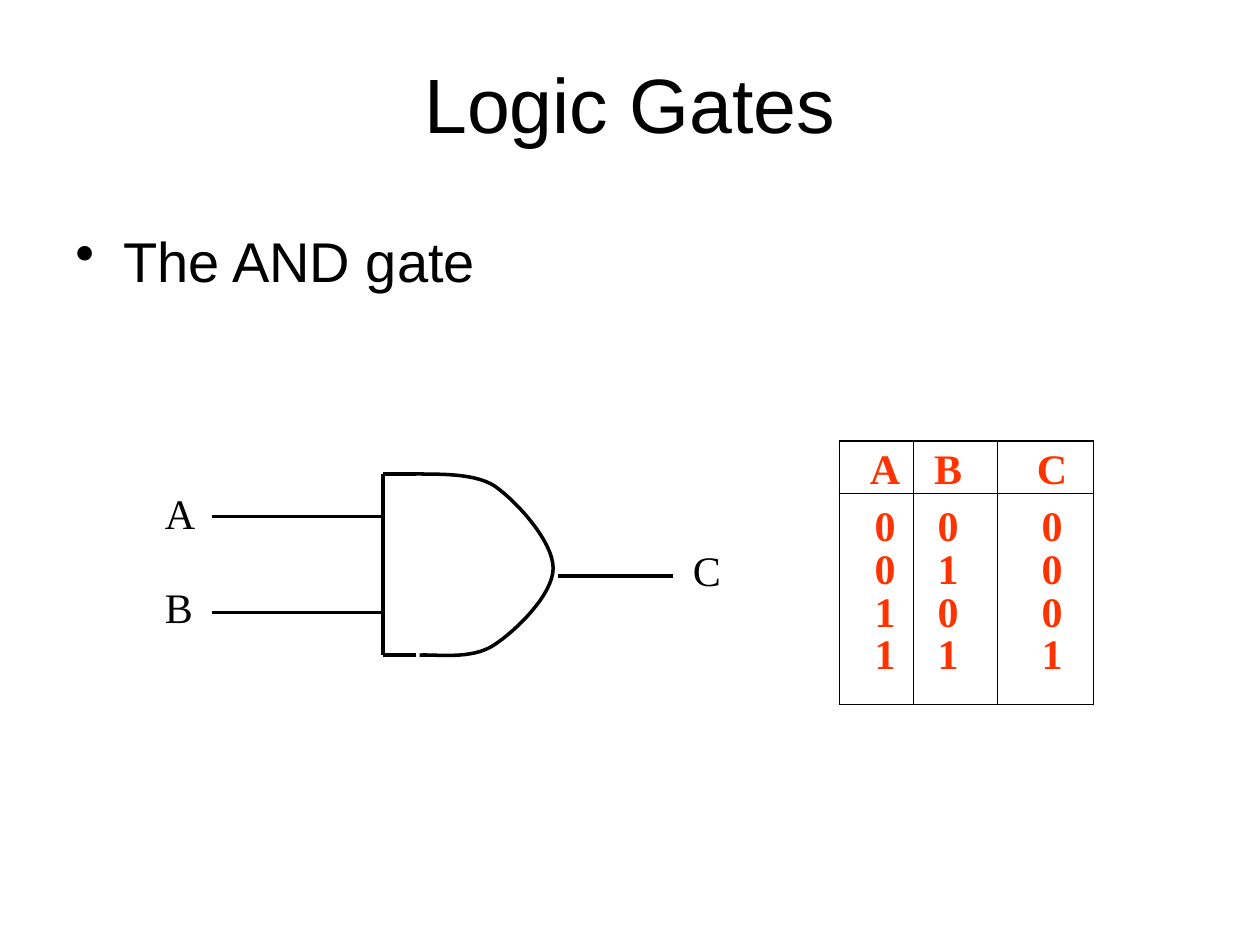
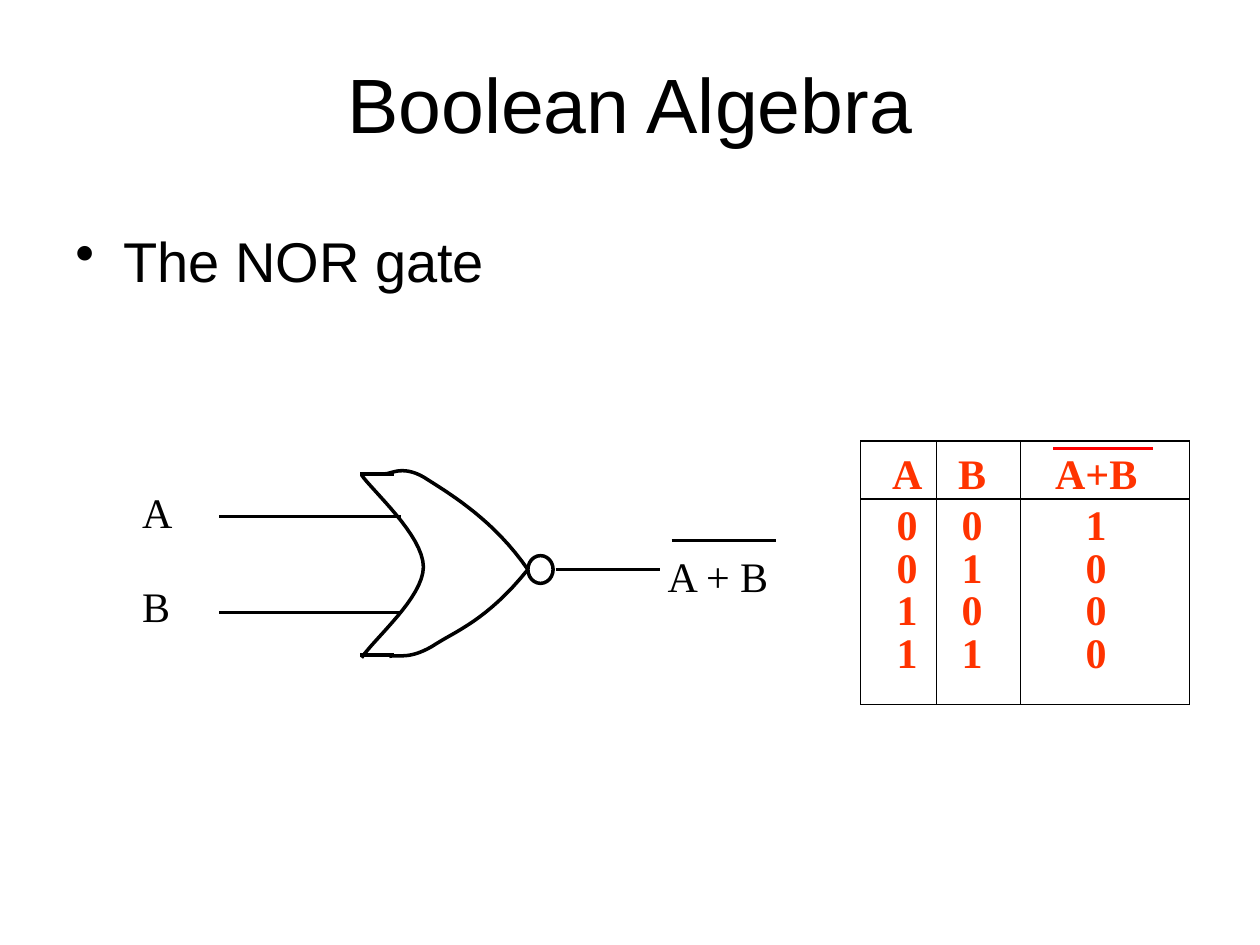
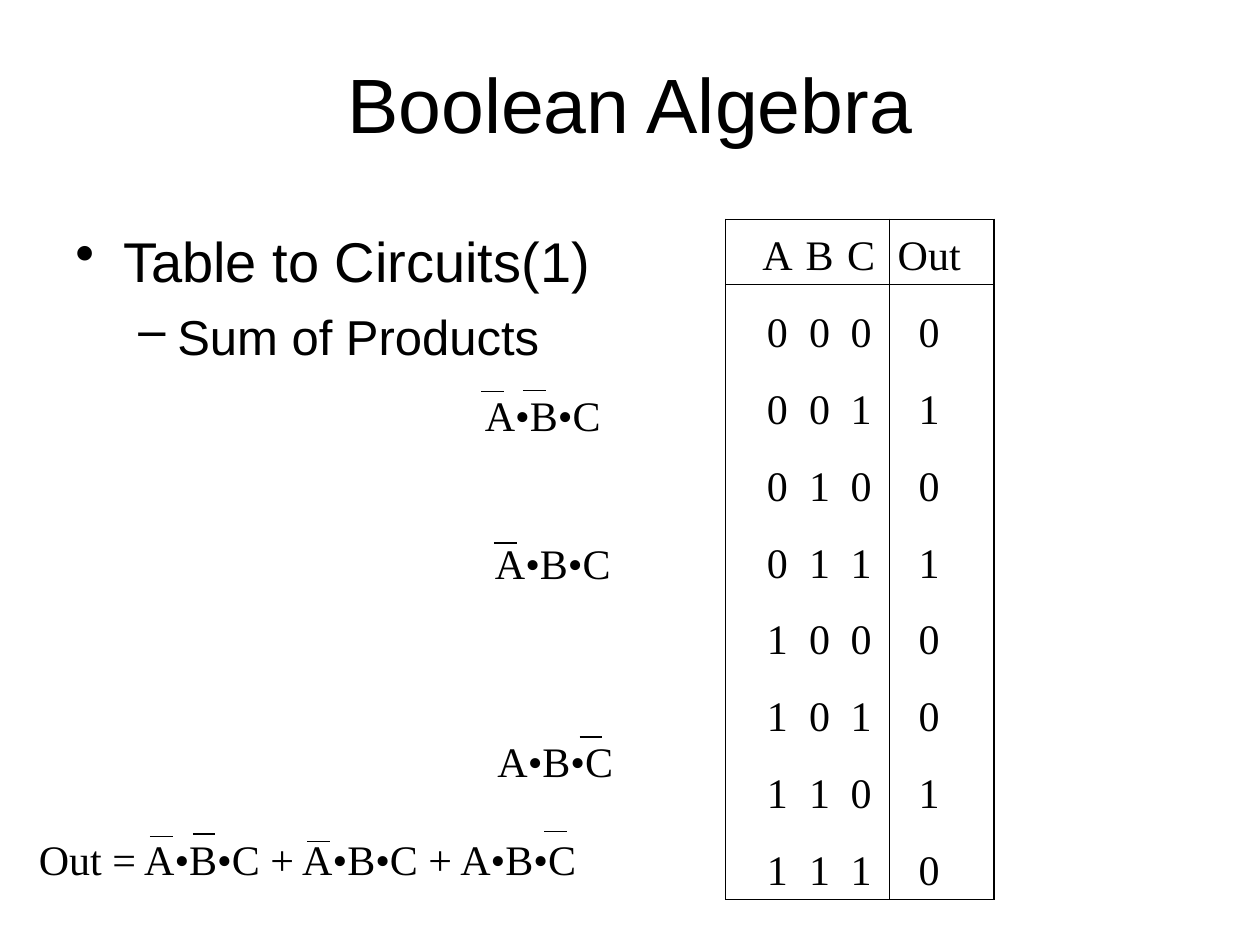
from lxml.etree import SubElement
from pptx import Presentation
from pptx.dml.color import RGBColor
from pptx.enum.shapes import MSO_CONNECTOR as Conn, MSO_SHAPE as Kind
from pptx.enum.text import MSO_ANCHOR as Anchor, PP_ALIGN as Align
from pptx.oxml.ns import qn
from pptx.util import Inches, Pt

BLACK, RED, ORANGE = "000000", "FF0000", "FF3300"
SANS, SERIF = "Arial", "Times New Roman"
THIN, THICK = 0.75, 2
COLS, ROWS = 100, 75  # grid of the slide


def tint(code):
    return RGBColor.from_string(code)


class Deck:
    def __init__(self):
        self.file = Presentation()
        self.file.slide_width, self.file.slide_height = Inches(10), Inches(7.5)
        self.col = self.file.slide_width / COLS
        self.row = self.file.slide_height / ROWS

    def x(self, n):
        return round(n * self.col)

    def y(self, n):
        return round(n * self.row)

    def box(self, x, y, w, h):
        return self.x(x), self.y(y), self.x(w), self.y(h)

    def page(self, title, *points):
        """Start a slide with its title and bulleted points."""
        self.slide = self.file.slides.add_slide(self.file.slide_layouts[6])
        head = self.text(title, 5, 3, 90, 10.3, SANS, 44)
        head.vertical_anchor = Anchor.MIDDLE
        head.paragraphs[0].alignment = Align.CENTER
        body = self.frame(5, 17.5, 90, 49.5)
        levels = [("•", 0.38, -0.38, 32), ("–", 0.81, -0.31, 28)]
        for i, (point, (mark, left, hang, size)) in enumerate(zip(points, levels)):
            par = body.add_paragraph() if i else body.paragraphs[0]
            par.text, par.level = point, i
            prop = par._p.get_or_add_pPr()
            prop.set("marL", str(Inches(left)))
            prop.set("indent", str(Inches(hang)))
            SubElement(prop, qn("a:buChar")).set("char", mark)
            if i:
                par.space_before = Pt(7)
            self.font(par, SANS, size)

    def font(self, par, name, size, ink=BLACK, bold=False):
        font = par.font
        font.name, font.size, font.bold = name, Pt(size), bold
        font.color.rgb = tint(ink)

    def frame(self, x, y, w, h):
        frame = self.slide.shapes.add_textbox(*self.box(x, y, w, h)).text_frame
        frame.word_wrap = True
        return frame

    def text(self, words, x, y, w, h=5, name=SERIF, size=24):
        frame = self.frame(x, y, w, h)
        frame.paragraphs[0].text = words
        self.font(frame.paragraphs[0], name, size)
        return frame

    def pen(self, shape, ink, width):
        shape.line.color.rgb = tint(ink)
        shape.line.width = Pt(width)

    def wire(self, x, y, x2, y2, ink=BLACK, width=THICK):
        line = self.slide.shapes.add_connector(
            Conn.STRAIGHT, self.x(x), self.y(y), self.x(x2), self.y(y2))
        self.pen(line, ink, width)
        SubElement(line._element.spPr, qn("a:effectLst"))

    def bar(self, x, y):
        """Short stroke that negates the letter below it."""
        self.wire(x, y, x + 1.8, y, width=THIN)

    def plain(self, shape):
        shape.shadow.inherit = False
        shape.fill.background()
        self.pen(shape, BLACK, THICK)

    def ring(self, x, y, w, h):
        self.plain(self.slide.shapes.add_shape(Kind.OVAL, *self.box(x, y, w, h)))

    def curve(self, start, *arcs, steps=16):
        """Open outline through cubic arcs, each two handles and an end."""
        dots, last = [], start
        for arc in arcs:
            ends = (last, *arc)
            for i in range(1, steps + 1):
                t = i / steps
                u = 1 - t
                mix = (u ** 3, 3 * u * u * t, 3 * u * t * t, t ** 3)
                px, py = (sum(m * e[k] for m, e in zip(mix, ends)) for k in (0, 1))
                dots.append((self.x(px), self.y(py)))
            last = arc[-1]
        path = self.slide.shapes.build_freeform(self.x(start[0]), self.y(start[1]))
        path.add_line_segments(dots, close=False)
        self.plain(path.convert_to_shape())

    def table(self, x, y, cols, rows, cells, shifts, bars, ink=BLACK,
              bold=False, foot=0.0, tail=0.0):
        """Truth table; shifts move the text of a column off its middle."""
        high, wide = len(rows), len(cols)
        grid = self.slide.shapes.add_table(
            high, wide, *self.box(x, y, sum(cols), sum(rows))).table
        grid.first_row = grid.horz_banding = False
        for part, size in zip(grid.columns, cols):
            part.width = self.x(size)
        for part, size in zip(grid.rows, rows):
            part.height = self.y(size)
        rules = (0, 1, high)
        for r, line in enumerate(cells):
            for c, word in enumerate(line.split()):
                cell = grid.cell(r, c)
                cell.margin_left = self.x(max(0, 2 * shifts[c]))
                cell.margin_right = self.x(max(0, -2 * shifts[c]))
                cell.margin_top = 0
                cell.margin_bottom = self.y(tail if r == high - 1 else foot)
                cell.vertical_anchor = Anchor.BOTTOM
                self.edges(cell, L=c in bars, R=c + 1 in bars,
                           T=r in rules, B=r + 1 in rules)
                cell.fill.background()
                par = cell.text_frame.paragraphs[0]
                par.text, par.alignment = word, Align.CENTER
                par.line_spacing = Pt(24)
                self.font(par, SERIF, 24, ink, bold)

    def edges(self, cell, **sides):
        prop = cell._tc.get_or_add_tcPr()
        for side, shown in sides.items():
            line = SubElement(prop, qn("a:ln" + side), w=str(Pt(THIN)))
            if shown:
                fill = SubElement(line, qn("a:solidFill"))
                SubElement(fill, qn("a:srgbClr")).set("val", BLACK)
            else:
                SubElement(line, qn("a:noFill"))

    def pins(self, x, y, left, right):
        """Inputs A and B with their wires."""
        for i, name in enumerate("AB"):
            self.text(name, x, y + 7.5 * i, 14.2)
            self.wire(left, 41 + 7.6 * i, right, 41 + 7.6 * i)


def gate(deck):
    deck.page("Logic Gates", "The AND gate")
    deck.pins(12.1, 38.2, 16.8, 30.4)
    # Gate body
    deck.wire(30.4, 37.6, 30.4, 52)
    for y in (37.6, 52):
        deck.wire(30.4, y, 33, y)
    deck.curve((33, 37.6),
               ((34, 37.7), (37.5, 37.4), (39.3, 38.6)),
               ((41.1, 39.9), (43.9, 43), (43.9, 45.1)),
               ((43.9, 47.2), (40.9, 50.1), (39.2, 51.2)),
               ((37.4, 52.4), (34.5, 51.9), (33.3, 52)))
    # Output and truth table
    deck.wire(44.3, 45.7, 53.4, 45.7)
    deck.text("C", 54, 42.7, 10)
    deck.table(66.6, 35, (5.9, 6.7, 7.6), (4.2, 4.5, 3.4, 3.4, 5.4),
               ("A B C", "0 0 0", "0 1 0", "1 0 0", "1 1 1"),
               (0.7, -0.6, 0.5), range(4), ORANGE, True, tail=2)


def nor(deck):
    deck.page("Boolean Algebra", "The NOR gate")
    deck.pins(10.3, 38.1, 17.4, 31.8)
    # Gate body
    for y in (37.6, 52):
        deck.wire(28.6, y, 31.3, y)
    deck.curve((30.6, 37.6),
               ((31.1, 37.6), (32.1, 36.8), (34, 38.1)),
               ((35.9, 39.3), (39.3, 41.4), (41.9, 45.2)),
               ((38.6, 49.3), (36.1, 50.1), (34.3, 51.3)),
               ((32.4, 52.4), (31.6, 51.9), (30.9, 52.1)))
    deck.curve((28.7, 37.7),
               ((29.5, 38.9), (33.6, 42.5), (33.6, 45)),
               ((33.6, 47.4), (29.7, 50.7), (28.7, 52.2)))
    deck.ring(41.9, 44.1, 2, 2.2)
    # Output and truth table
    deck.wire(44.1, 45.2, 52.4, 45.2)
    deck.text("A + B", 52, 43.2, 13.4)
    deck.wire(53.3, 42.9, 61.6, 42.9)
    deck.table(68.3, 35, (6, 6.7, 13.4), (4.6, 4, 3.4, 3.4, 5.5),
               ("A B A+B", "0 0 1", "0 1 0", "1 0 0", "1 1 0"),
               (0.7, -0.5, -0.7), range(4), ORANGE, True, tail=2.1)
    deck.wire(83.6, 35.6, 91.5, 35.6, RED)


def sums(deck):
    deck.page("Boolean Algebra", "Table to Circuits(1)", "Sum of Products")
    # Truth table: the output is 1 for three of the inputs
    ones = (1, 3, 6)
    lines = [" ".join(f"{n:03b}") + f" {int(n in ones)}" for n in range(8)]
    deck.table(57.6, 17.4, (5.8, 3.3, 3.9, 8.3), (5.2, *[6.1] * 8),
               ("A B C Out", *lines), (1.2, 0, -0.3, -1), (0, 3, 4),
               foot=0.4, tail=0.4)
    # Products beside their rows, then the sum
    for x, y in ((37.5, 30.4), (38.3, 42.2), (38.5, 57.9)):
        deck.text("A•B•C", x, y, 11.7)
    deck.text("Out = A•B•C + A•B•C + A•B•C", 2.1, 65.7, 47.6)
    for spot in ((38.2, 31.1), (41.5, 31), (39.2, 43.1), (46, 58.5),
                 (11.9, 66.4), (15.3, 66.2), (24.4, 66.8), (43.2, 66)):
        deck.bar(*spot)


def main():
    deck = Deck()
    for draw in (gate, nor, sums):
        draw(deck)
    deck.file.save("out.pptx")


if __name__ == "__main__":
    main()
